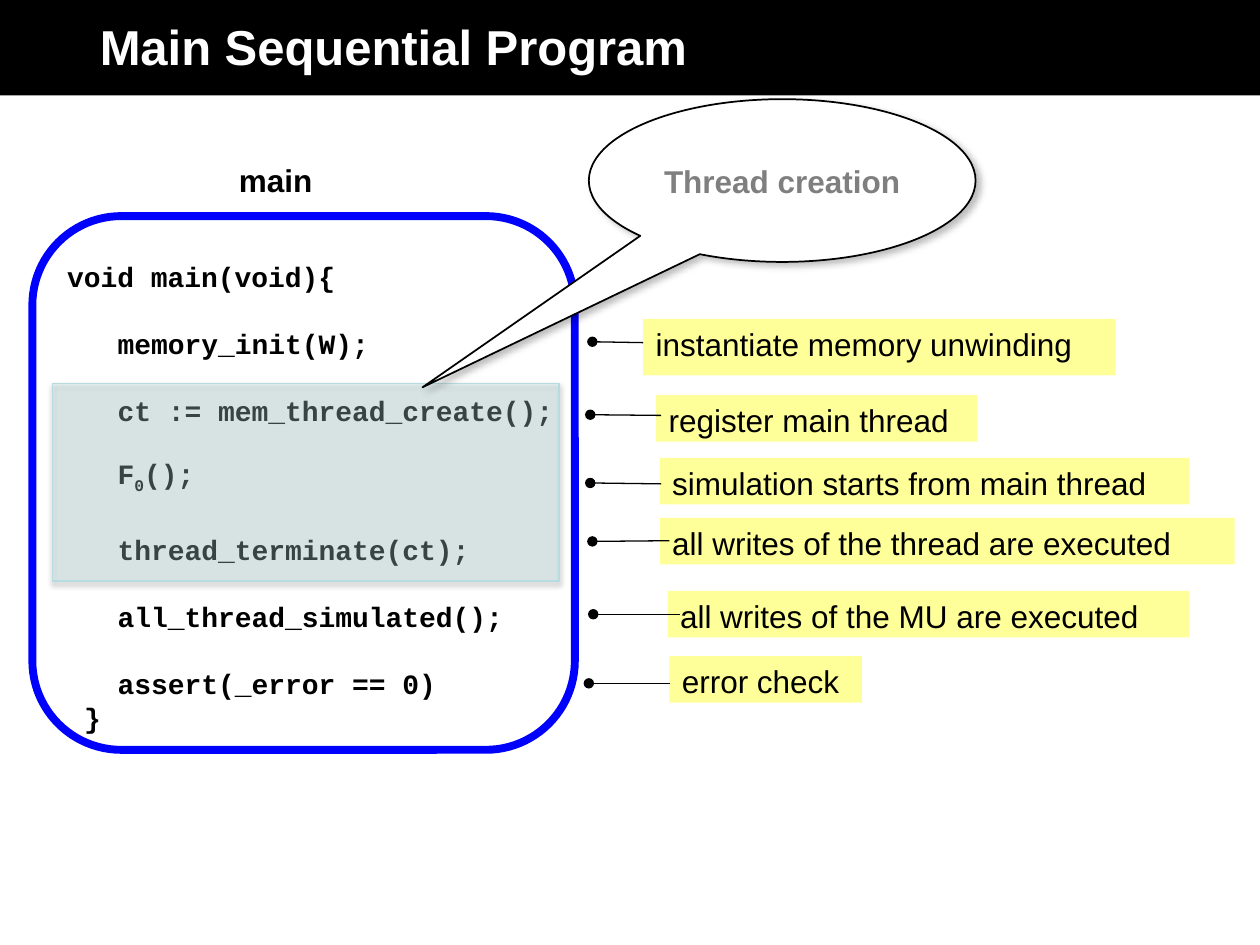
"""Build a slide explaining the main function of a sequential program."""
import lxml.etree
import pptx
import pptx.dml.color
import pptx.enum.shapes
import pptx.enum.text
import pptx.oxml
import pptx.oxml.ns
import pptx.util

Pt = pptx.util.Pt
SHAPE = pptx.enum.shapes.MSO_SHAPE
ALIGN = pptx.enum.text.PP_ALIGN
MIDDLE = pptx.enum.text.MSO_ANCHOR.MIDDLE
qn = pptx.oxml.ns.qn
COLORS = {
    "black": "000000", "white": "FFFFFF", "frame": "0000FF", "note": "FFFF99",
    "shade": "BBE0E3", "shade_line": "B6DCDF", "callout_text": "7F7F7F",
}


def paint(shape, fill, line=None, width=0, shadow=None):
    shape.shadow.inherit = False
    shape.fill.solid()
    shape.fill.fore_color.rgb = pptx.dml.color.RGBColor.from_string(COLORS[fill])
    if line:
        shape.line.color.rgb = pptx.dml.color.RGBColor.from_string(COLORS[line])
        shape.line.width = Pt(width)
    else:
        shape.line.fill.background()
    if shadow:
        opacity, blur, distance, angle = shadow
        effects = shape._element.spPr.find(qn("a:effectLst"))
        outer = lxml.etree.SubElement(
            effects, qn("a:outerShdw"), blurRad=str(Pt(blur)), dist=str(Pt(distance)),
            dir=str(angle * 60000), algn="tl", rotWithShape="0")
        black = lxml.etree.SubElement(outer, qn("a:srgbClr"), val=COLORS["black"])
        lxml.etree.SubElement(black, qn("a:alpha"), val=str(opacity * 1000))


def style(paragraph, size, color="black", bold=False, font="Arial", align=ALIGN.LEFT):
    paragraph.alignment = align
    for run in paragraph.runs:
        run.font.name = font
        run.font.size = Pt(size)
        run.font.bold = bold
        run.font.color.rgb = pptx.dml.color.RGBColor.from_string(COLORS[color])


deck = pptx.Presentation()
deck.slide_width, deck.slide_height = Pt(720), Pt(540)
slide = deck.slides.add_slide(deck.slide_layouts[5])

title = slide.shapes.title
title.left, title.top, title.width, title.height = Pt(0), Pt(-2), Pt(720), Pt(56.5)
paint(title, "black")
title.text_frame.text = "Main Sequential Program"
title.text_frame.margin_left = Pt(57)
title.text_frame.vertical_anchor = MIDDLE
style(title.text_frame.paragraphs[0], 28, "white", True)

frame = slide.shapes.add_shape(SHAPE.ROUNDED_RECTANGLE, Pt(18.5), Pt(123.5), Pt(310), Pt(305))
paint(frame, "white", "frame", 4.5)

code_lines = [
    ("void main(void){", 0, 0),
    ("memory_init(W);", 28.8, 19.1),
    ("ct := mem_thread_create();", 28.8, 19.1),
    ("F", 28.8, 19.1),
    ("thread_terminate(ct);", 28.8, 22),
    ("all_thread_simulated();", 28.8, 19.1),
    ("assert(_error == 0)", 28.8, 19.1),
    ("}", 9.6, 0),
]
code = slide.shapes.add_textbox(Pt(38.4), Pt(148.5), Pt(323), Pt(280)).text_frame
code.word_wrap = True
code.margin_left = code.margin_right = code.margin_top = code.margin_bottom = 0
code.text = "\n".join(text for text, indent, gap in code_lines)
for statement, (text, indent, gap) in zip(code.paragraphs, code_lines):
    if text == "F":
        subscript = statement.add_run()
        subscript.text = "0"
        subscript.font._element.set("baseline", "-25000")
        statement.add_run().text = "();"
    statement._p.get_or_add_pPr().set("marL", str(Pt(indent)))
    statement.line_spacing = Pt(19.2)
    statement.space_before = Pt(gap)
    style(statement, 16, bold=True, font="Courier New")

heading = slide.shapes.add_textbox(Pt(31.5), Pt(88.5), Pt(252), Pt(29)).text_frame
heading.word_wrap = True
heading.text = "main"
style(heading.paragraphs[0], 18, bold=True, align=ALIGN.CENTER)

notes = [
    ("instantiate memory unwinding", 367.5, 182.3, 270, 32.2, (338.5, 195.3), (367.5, 195.8)),
    ("register main thread", 375, 225.8, 183.5, 26.6, (337.3, 237), (377.8, 237.4)),
    ("simulation starts from main thread", 377, 261.7, 302.5, 26.6, (337.3, 276), (377.8, 276.5)),
    ("all writes of the thread are executed", 377, 295.9, 328.5, 26.6, (338.5, 309.4), (382.5, 309)),
    ("all writes of the MU are executed", 381.5, 337.7, 298, 26.6, (339, 351), (388.5, 351)),
    ("error check", 382.5, 375, 110, 26.6, (336.5, 390.5), (383, 390.5)),
]
for text, left, top, width, height, start, end in notes:
    note = slide.shapes.add_shape(SHAPE.RECTANGLE, Pt(left), Pt(top), Pt(width), Pt(height))
    paint(note, "note")
    note.text_frame.text = text
    note.text_frame.vertical_anchor = pptx.enum.text.MSO_ANCHOR.TOP
    style(note.text_frame.paragraphs[0], 18)
    pointer = slide.shapes.add_connector(
        pptx.enum.shapes.MSO_CONNECTOR.STRAIGHT, *map(Pt, start + end))
    pointer.line.color.rgb = pptx.dml.color.RGBColor.from_string(COLORS["black"])
    pointer.line.width = Pt(0.75)
    lxml.etree.SubElement(pointer.line._get_or_add_ln(), qn("a:headEnd"), type="oval")
    lxml.etree.SubElement(pointer._element.spPr, qn("a:effectLst"))

shade = slide.shapes.add_shape(SHAPE.RECTANGLE, Pt(30), Pt(219), Pt(289.5), Pt(113))
paint(shade, "shade", "shade_line", 0.75, (35, 3.1, 1.8, 90))
shade_color = shade._element.spPr.find(qn("a:solidFill")).find(qn("a:srgbClr"))
lxml.etree.SubElement(shade_color, qn("a:alpha"), val="30000")

callout = slide.shapes.add_shape(SHAPE.OVAL_CALLOUT, Pt(336.5), Pt(56.7), Pt(221), Pt(93))
callout.adjustments[0], callout.adjustments[1] = -0.93, 1.27
paint(callout, "white", "black", 1, (25, 4, 3, 45))
callout.text_frame.text = "Thread creation"
callout.text_frame.margin_left = callout.text_frame.margin_right = 0
callout.text_frame.vertical_anchor = MIDDLE
style(callout.text_frame.paragraphs[0], 18, "callout_text", True, align=ALIGN.CENTER)

deck.save("out.pptx")
